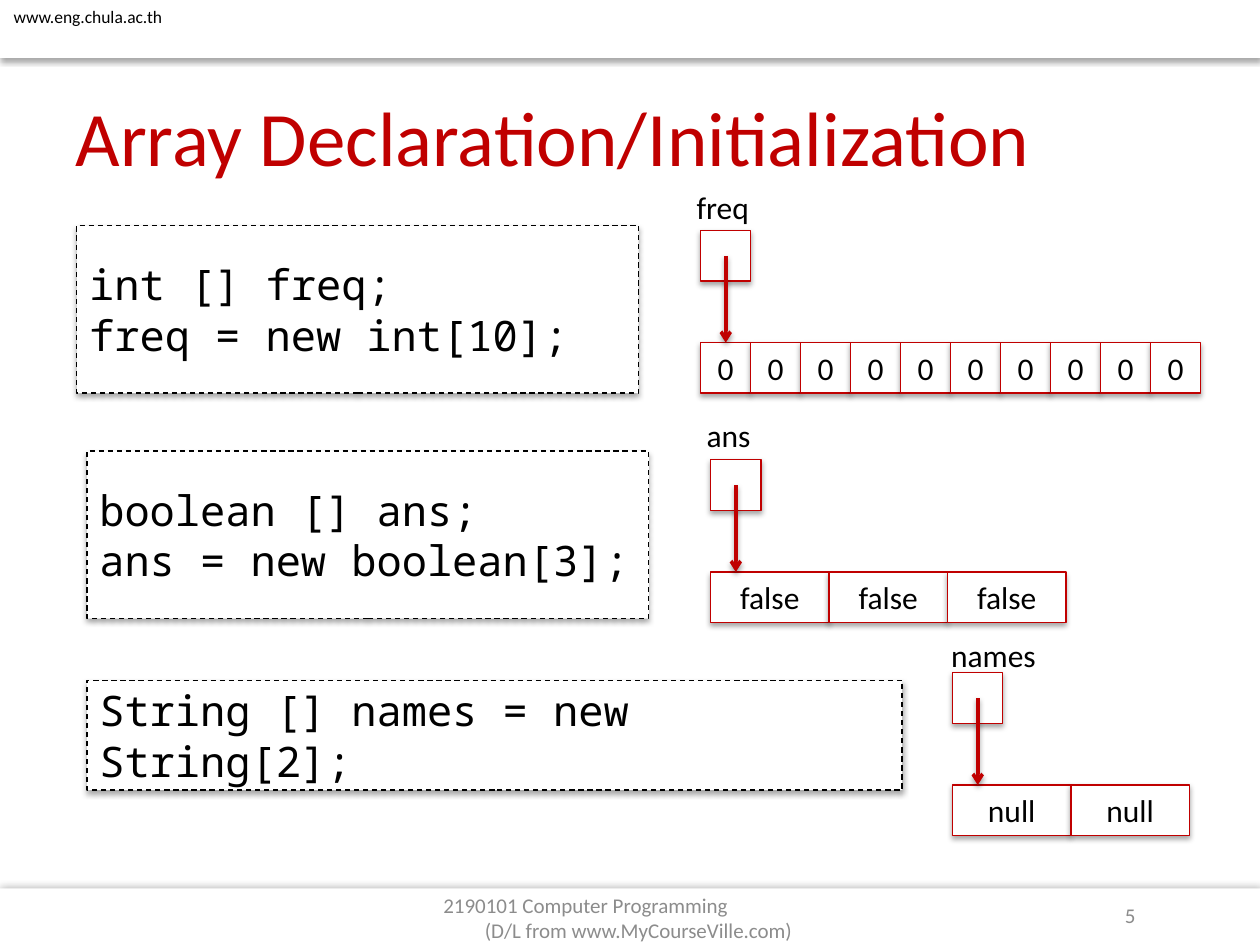
from lxml import etree
from pptx import Presentation
from pptx.dml.color import RGBColor
from pptx.enum.dml import MSO_LINE
from pptx.enum.shapes import MSO_CONNECTOR, MSO_SHAPE
from pptx.enum.text import MSO_ANCHOR, MSO_AUTO_SIZE, PP_ALIGN
from pptx.oxml.ns import qn
from pptx.util import Inches, Pt

RECTANGLE = MSO_SHAPE.RECTANGLE
STRAIGHT = MSO_CONNECTOR.STRAIGHT
DASH = MSO_LINE.DASH
MIDDLE = MSO_ANCHOR.MIDDLE
FIT_SHAPE = MSO_AUTO_SIZE.SHAPE_TO_FIT_TEXT
LEFT, CENTER, RIGHT = PP_ALIGN.LEFT, PP_ALIGN.CENTER, PP_ALIGN.RIGHT

COLORS = {"red": "C00000", "black": "000000", "white": "FFFFFF", "gray": "8C8C8C"}
COLORS = {name: RGBColor.from_string(value) for name, value in COLORS.items()}
BODY_FONT = "Calibri"
CODE_FONT = "Noto Sans Mono"
CELL = 0.4        # side of a reference box and height of an array
WIDE_CELL = 0.94
ARRAY_DROP = 0.89  # from the top of a reference to the top of its array

deck = Presentation()
deck.slide_width, deck.slide_height = Inches(10), Inches(7.5)
page = deck.slides.add_slide(deck.slide_layouts[5])


def cast_shadow(shape, opacity=35, blur=3.1, distance=1.8):
    """Add a black downward shadow; the line must already be formatted."""
    effects = etree.SubElement(shape.element.spPr, qn("a:effectLst"))
    shadow = etree.SubElement(effects, qn("a:outerShdw"), blurRad=str(Pt(blur)),
                              dist=str(Pt(distance)), dir="5400000", rotWithShape="0")
    color = etree.SubElement(shadow, qn("a:srgbClr"), val=str(COLORS["black"]))
    etree.SubElement(color, qn("a:alpha"), val=str(opacity * 1000))


def add_box(bounds, text="", size=18, font=BODY_FONT, color="black",
            align=LEFT, filled=False, line=None):
    """Add a white rectangle if filled, else a plain text box."""
    bounds = [Inches(value) for value in bounds]
    if filled:
        box = page.shapes.add_shape(RECTANGLE, *bounds)
        box.fill.solid()
        box.fill.fore_color.rgb = COLORS["white"]
        if line:
            box.line.color.rgb = COLORS[line]
            box.line.width = Pt(0.75)
        else:
            box.line.fill.background()
    else:
        box = page.shapes.add_textbox(*bounds)
    frame = box.text_frame
    frame.word_wrap = True
    frame.vertical_anchor = MIDDLE
    frame.text = text
    for para in frame.paragraphs:
        para.alignment = align
        for span in para.runs:
            span.font.size = Pt(size)
            span.font.name = font
            span.font.color.rgb = COLORS[color]
    return box


# Header and footer bands
footer_band = add_box((0, 7.05, 10, 0.46), filled=True)
cast_shadow(footer_band, opacity=40, blur=5, distance=0)
header_band = add_box((0, 0, 10, 0.46), filled=True)
cast_shadow(header_band)
site = add_box((0.01, 0, 1.4, 0.27), "www.eng.chula.ac.th", size=10)

title = page.shapes.title
title.left, title.top = Inches(0.5), Inches(0.61)
title.width, title.height = Inches(7.8), Inches(0.94)
title.text_frame.text = "Array Declaration/Initialization"
title.text_frame.vertical_anchor = MIDDLE
heading = title.text_frame.paragraphs[0]
heading.alignment = LEFT
heading.font.size = Pt(44)
heading.font.name = BODY_FONT
heading.font.color.rgb = COLORS["red"]

add_box((7.17, 7.06, 1.94, 0.4), "5", size=12, color="gray", align=RIGHT)
footer = add_box((3.42, 7.08, 3.17, 0.4),
                 "2190101 Computer Programming\n(D/L from www.MyCourseVille.com)",
                 size=12, color="gray")
footer.text_frame.paragraphs[1]._p.get_or_add_pPr().set("marL", str(Inches(0.33)))

# Code samples
samples = [
    ((0.61, 1.79, 4.46, 1.33), "int [] freq;\nfreq = new int[10];"),
    ((0.69, 3.58, 4.46, 1.33), "boolean [] ans;\nans = new boolean[3];"),
    ((0.69, 5.4, 6.47, 0.87), "String [] names = new String[2];"),
]
for bounds, code in samples:
    sample = add_box(bounds, code, size=24, font=CODE_FONT, filled=True, line="black")
    sample.line.dash_style = DASH
    cast_shadow(sample)

# Arrays: name, label bounds, reference left and top, value, count, cell width, pitch
arrays = [
    ("freq", (5.43, 1.44, 0.62, 0.4), 5.56, 1.83, "0", 10, CELL, (9.13 - 5.56) / 9),
    ("ans", (5.51, 3.25, 0.55, 0.4), 5.64, 3.65, "false", 3, WIDE_CELL, WIDE_CELL),
    ("names", (7.45, 5, 0.88, 0.4), 7.56, 5.34, "null", 2, WIDE_CELL, WIDE_CELL),
]
labels = []
for name, label_bounds, left, top, value, count, width, pitch in arrays:
    array_top = top + ARRAY_DROP
    cells = [add_box((left + i * pitch, array_top, width, CELL), value,
                     align=CENTER, filled=True, line="red") for i in range(count)]
    reference = add_box((left, top, CELL, CELL), filled=True, line="red")
    for box in cells + [reference]:
        cast_shadow(box)
    labels.append(add_box(label_bounds, name))

    center = left + CELL / 2
    arrow = page.shapes.add_connector(STRAIGHT, Inches(center), Inches(top + CELL / 2),
                                      Inches(center), Inches(array_top))
    if width == CELL:
        arrow.end_connect(cells[0], 0)
    arrow.line.color.rgb = COLORS["red"]
    arrow.line.width = Pt(2)
    etree.SubElement(arrow.line._get_or_add_ln(), qn("a:tailEnd"), type="arrow")
    cast_shadow(arrow, opacity=38, distance=1.6)

for box in labels + [site]:
    box.text_frame.word_wrap = False
    box.text_frame.auto_size = FIT_SHAPE
    box.text_frame.vertical_anchor = MSO_ANCHOR.TOP

deck.save("out.pptx")
